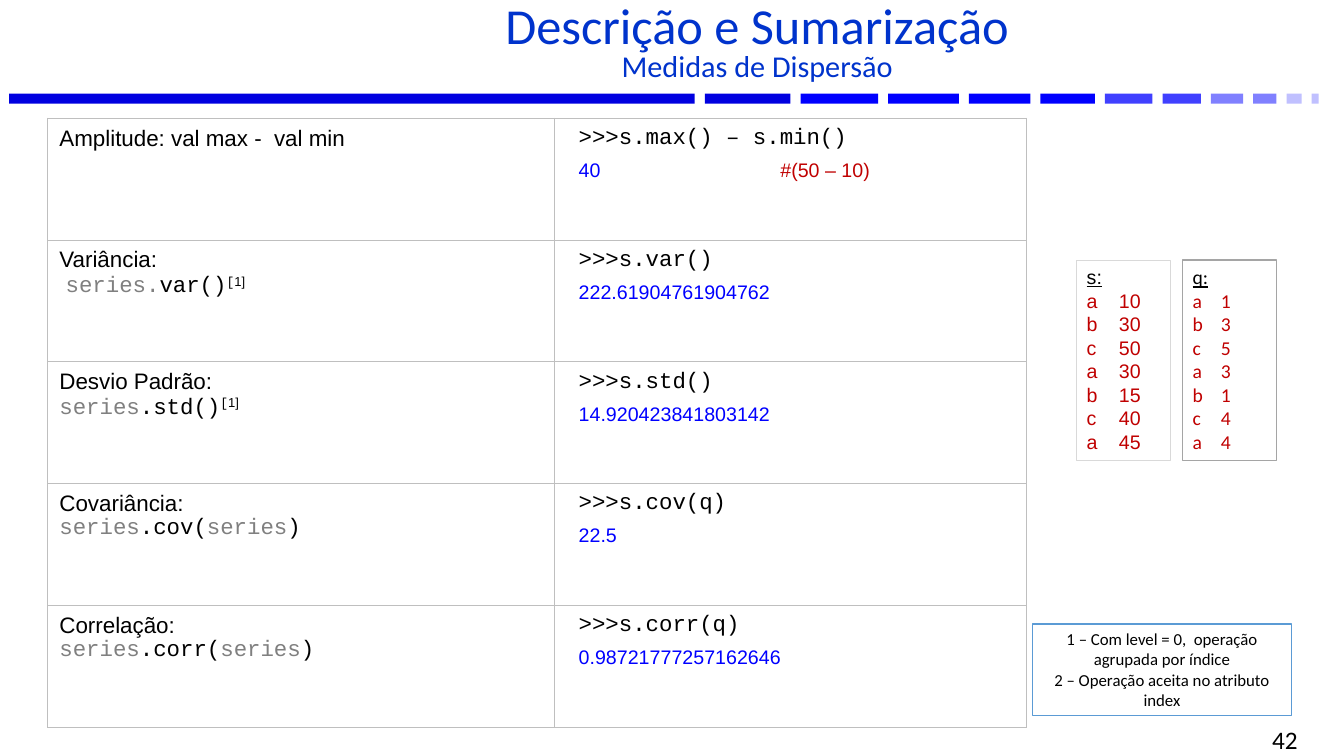
from dataclasses import dataclass

from lxml import etree
from pptx import Presentation
from pptx.dml.color import RGBColor
from pptx.enum.shapes import MSO_SHAPE
from pptx.enum.text import MSO_ANCHOR, PP_ALIGN
from pptx.oxml.ns import qn
from pptx.util import Pt

EMU_PER_PX = 9144
RECTANGLE = MSO_SHAPE.RECTANGLE
TOP, MIDDLE = MSO_ANCHOR.TOP, MSO_ANCHOR.MIDDLE
LEFT, CENTER, RIGHT = PP_ALIGN.LEFT, PP_ALIGN.CENTER, PP_ALIGN.RIGHT

SANS, MONO, HEADING = "Arial", "Courier New", "Calibri"
BLACK = RGBColor(0, 0, 0)
WHITE = RGBColor(255, 255, 255)
GRAY = RGBColor(0x80, 0x80, 0x80)
RED = RGBColor(0xC0, 0, 0)
BLUE = RGBColor(0, 0, 0xFF)
TITLE_BLUE = RGBColor(0, 0x33, 0xCC)
NOTE_BLUE = RGBColor(0x5B, 0x9B, 0xD5)
PALE_EDGE = RGBColor(0xD9, 0xD9, 0xD9)
DARK_EDGE = RGBColor(0xA5, 0xA5, 0xA5)
GRID = RGBColor(0xBF, 0xBF, 0xBF)
NAVY = RGBColor(0, 0, 0xE0)
BLUE_3 = RGBColor(0x40, 0x40, 0xFF)
BLUE_2 = RGBColor(0x80, 0x80, 0xFF)
BLUE_1 = RGBColor(0xC0, 0xC0, 0xFF)


@dataclass
class Span:
    """A stretch of text with only what differs from its paragraph."""
    text: str
    color: RGBColor = None
    font: str = None
    size: float = None
    raised: bool = False


@dataclass
class Para:
    spans: list
    size: float
    font: str = SANS
    color: RGBColor = BLACK
    align: PP_ALIGN = LEFT
    before: int = 0
    spacing: float = None
    underline: bool = None
    tab: int = None


def px(length):
    return length * EMU_PER_PX


class Page:
    def __init__(self, deck):
        self.slide = deck.slides.add_slide(deck.slide_layouts[6])
        self.shapes = self.slide.shapes

    def set_paras(self, frame, paras):
        frame.word_wrap = True
        for index, para in enumerate(paras):
            paragraph = frame.paragraphs[0] if index == 0 else frame.add_paragraph()
            paragraph.alignment = para.align
            if para.spacing:
                paragraph.line_spacing = para.spacing
            if index and para.before:
                paragraph.space_before = Pt(para.before)
            if para.tab:
                tabs = etree.SubElement(paragraph._p.get_or_add_pPr(), qn("a:tabLst"))
                etree.SubElement(tabs, qn("a:tab"), pos=str(px(para.tab)), algn="l")
            font = paragraph.font
            font.name, font.size = para.font, Pt(para.size)
            font.color.rgb = para.color
            font.underline = para.underline
            for span in para.spans:
                self.add_span(paragraph, span)

    def add_span(self, paragraph, span):
        if span.text == "\n":
            paragraph.add_line_break()
            return
        run = paragraph.add_run()
        run.text = span.text
        if span.font:
            run.font.name = span.font
        if span.size:
            run.font.size = Pt(span.size)
        if span.color is not None:
            run.font.color.rgb = span.color
        if span.raised:
            run._r.get_or_add_rPr().set("baseline", "30000")

    def text(self, left, top, width, height, paras):
        box = self.shapes.add_textbox(px(left), px(top), px(width), px(height))
        box.text_frame.vertical_anchor = MIDDLE
        self.set_paras(box.text_frame, paras)

    def rectangle(self, left, top, width, height, fill=None, line=None, weight=1, paras=()):
        box = self.shapes.add_shape(RECTANGLE, px(left), px(top), px(width), px(height))
        box.shadow.inherit = False
        if fill is None:
            box.fill.background()
        else:
            box.fill.solid()
            box.fill.fore_color.rgb = fill
        if line is None:
            box.line.fill.background()
        else:
            box.line.color.rgb = line
            box.line.width = Pt(weight)
        box.text_frame.vertical_anchor = TOP
        self.set_paras(box.text_frame, paras)

    def table(self, left, top, widths, height, rows, insets):
        table = self.shapes.add_table(len(rows), len(widths), px(left), px(top),
                                      px(sum(widths)), px(height)).table
        table.first_row = table.horz_banding = False
        for column, width in zip(table.columns, widths):
            column.width = px(width)
        for row, contents in zip(table.rows, rows):
            for cell, paras, inset in zip(row.cells, contents, insets):
                cell.margin_left, cell.margin_top = px(inset), px(8)
                cell.margin_right = cell.margin_bottom = 0
                self.border(cell)
                cell.fill.background()
                self.set_paras(cell.text_frame, paras)

    def border(self, cell):
        properties = cell._tc.get_or_add_tcPr()
        for side in ("a:lnL", "a:lnR", "a:lnT", "a:lnB"):
            edge = etree.SubElement(properties, qn(side), w=str(int(Pt(0.25))))
            fill = etree.SubElement(edge, qn("a:solidFill"))
            etree.SubElement(fill, qn("a:srgbClr"), val=str(GRID))


def measure(name, code=()):
    """Left cell: the name of the measure and, below it, its method."""
    paras = [Para([Span(name)], 16)]
    if code:
        paras.append(Para(list(code), 16, MONO))
    return paras


def session(command, result, tab=None):
    """Right cell: a prompt line and the answer it prints."""
    return [Para([Span(">>>" + command)], 16, MONO),
            Para(result, 14, color=BLUE, before=6, tab=tab)]


def series(name, values, font, tab):
    rows = [Para([Span(f"{label}\t{value}")], 14, font, RED, tab=tab)
            for label, value in zip("abcabca", values)]
    return [Para([Span(name)], 14, font, underline=True)] + rows


def main():
    deck = Presentation()
    deck.slide_width, deck.slide_height = px(1333), px(750)
    page = Page(deck)

    bar_left, bar_gap = 9, 10
    bars = [(680, NAVY), (85, NAVY), (77, BLUE), (70, BLUE), (61, BLUE), (54, BLUE),
            (47, BLUE_3), (38, BLUE_3), (32, BLUE_2), (23, BLUE_2), (15, BLUE_1), (7, BLUE_1)]
    for width, color in bars:
        page.rectangle(bar_left, 93, width, 10, color)
        bar_left += width + bar_gap

    page.text(194, 6, 1114, 77, [Para(
        [Span("Descrição e Sumarização", size=36), Span("\n"), Span("Medidas de Dispersão")],
        21.6, HEADING, TITLE_BLUE, CENTER, spacing=0.8)])
    page.text(986, 723, 311, 22, [Para([Span("42")], 18, HEADING, align=RIGHT)])

    note = ["1 – Com level = 0,  operação agrupada por índice",
            "2 – Operação aceita no atributo index"]
    page.rectangle(1024, 619, 257, 91, WHITE, NOTE_BLUE,
                   paras=[Para([Span(line)], 12, HEADING, align=CENTER) for line in note])
    page.rectangle(1068, 258, 93, 199, None, PALE_EDGE, 0.75,
                   series("s:", (10, 30, 50, 30, 15, 40, 45), SANS, 32))
    page.rectangle(1173, 258, 93, 199, WHITE, DARK_EDGE, 1,
                   series("q:", (1, 3, 5, 3, 1, 4, 4), HEADING, 28))

    footnote = [Span("[", raised=True), Span("1]", font=SANS, raised=True)]
    argument = Span("series", GRAY)
    rows = [
        (measure("Amplitude: val max -  val min"),
         session("s.max() – s.min()", [Span("40\t"), Span("#(50 – 10)", RED)], tab=200)),
        (measure("Variância:", [Span(" ", font=SANS), Span("series.", GRAY),
                                Span("var()"), *footnote]),
         session("s.var()", [Span("222.61904761904762")])),
        (measure("Desvio Padrão:", [argument, Span(".std()"), *footnote]),
         session("s.std()", [Span("14.920423841803142")])),
        (measure("Covariância:", [argument, Span(".cov("), argument, Span(")")]),
         session("s.cov(q)", [Span("22.5")])),
        (measure("Correlação:", [argument, Span(".corr("), argument, Span(")")]),
         session("s.corr(q)", [Span("0.98721777257162646")])),
    ]
    page.table(47, 117, (503, 468), 604, rows, insets=(12, 24))
    deck.save("out.pptx")


if __name__ == "__main__":
    main()
